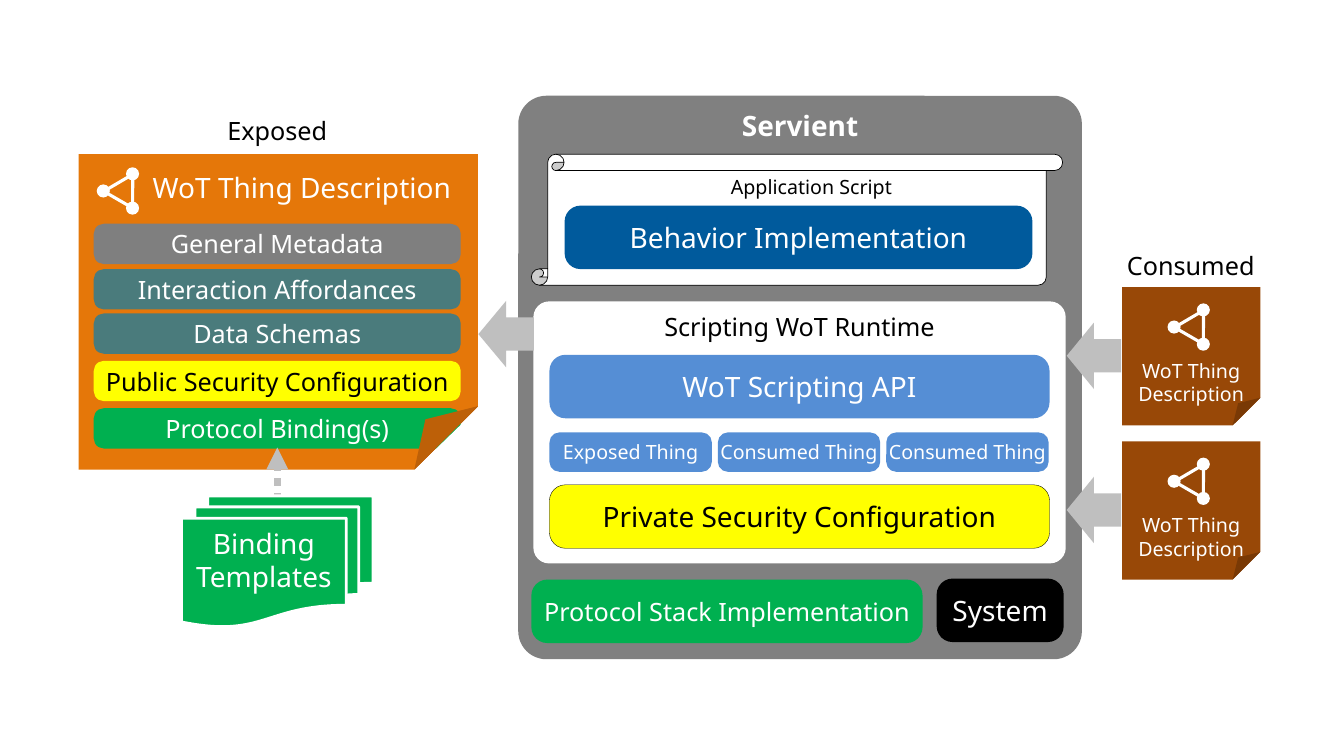
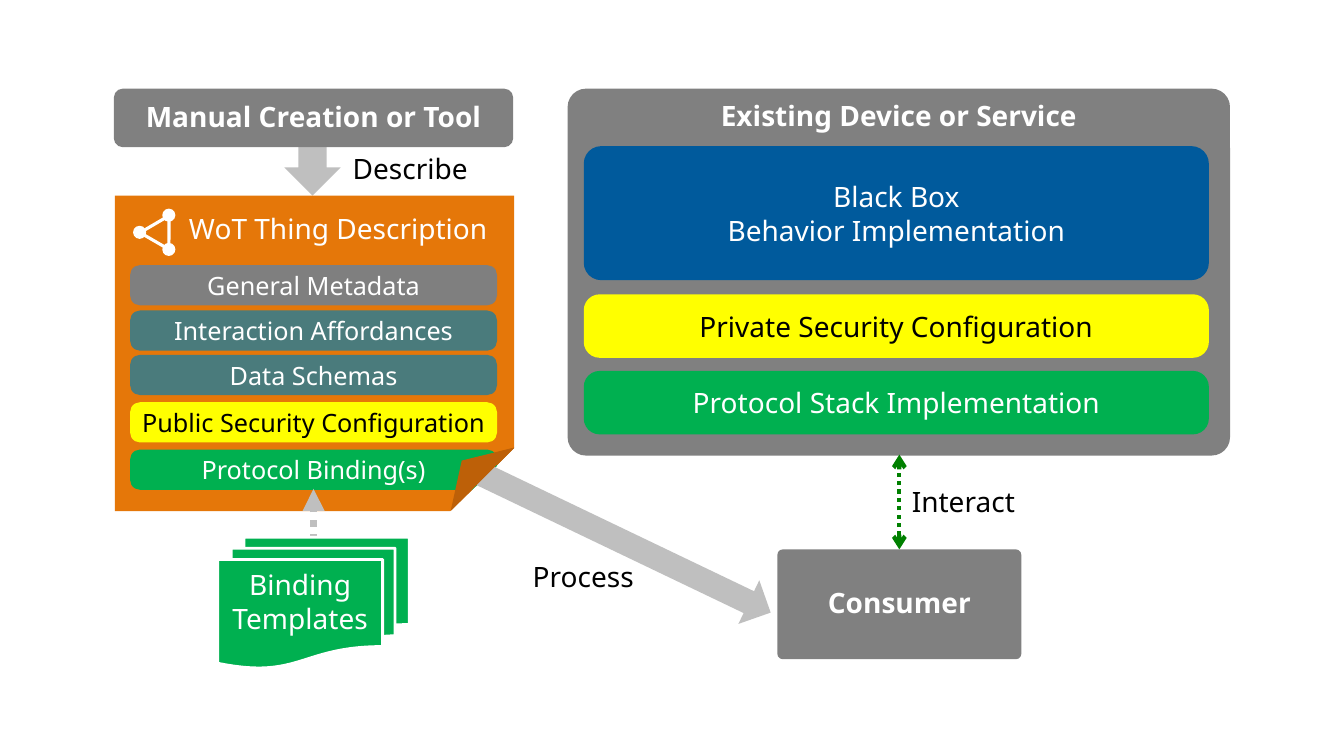
"""Build two Web of Things architecture diagrams: a servient and an existing device."""
from dataclasses import dataclass
from typing import Optional

from lxml import etree
from pptx import Presentation
from pptx import util as u
from pptx.dml.color import RGBColor
from pptx.enum import dml, shapes, text
from pptx.oxml.ns import qn
from pptx.slide import Slide

GEOMETRY = shapes.MSO_SHAPE
TOP, MIDDLE = text.MSO_ANCHOR.TOP, text.MSO_ANCHOR.MIDDLE
LEFT, CENTER = text.PP_ALIGN.LEFT, text.PP_ALIGN.CENTER


@dataclass(frozen=True)
class Theme:
    font: str = "Noto Sans"
    title: int = 20
    body: int = 18
    small: int = 14
    white: str = "FFFFFF"
    black: str = "000000"
    gray: str = "808080"
    metadata: str = "7F7F7F"
    arrow: str = "BFBFBF"
    blue: str = "005A9C"
    api: str = "558ED5"
    green: str = "00B050"
    interact: str = "008000"
    yellow: str = "FFFF00"
    teal: str = "4A7B7C"
    orange: str = "E57709"
    fold: str = "BD6008"
    brown: str = "984807"


THEME = Theme()
HEADING_INSETS = (0.1, 0.04, 0.1, 0.08)


@dataclass(frozen=True)
class Box:
    x: float
    y: float
    w: float
    h: float
    fill: Optional[str] = None
    words: str = ""
    size: int = THEME.title
    ink: str = THEME.white
    bold: bool = False
    anchor: text.MSO_ANCHOR = MIDDLE
    insets: tuple[float, ...] = (0.1, 0.05, 0.1, 0.05)
    geometry: shapes.MSO_SHAPE = GEOMETRY.ROUNDED_RECTANGLE
    corner: Optional[float] = 0.25
    border: Optional[str] = None
    border_width: float = 1
    rotation: float = 0


@dataclass(frozen=True)
class Label:
    x: float
    y: float
    w: float
    h: float
    words: str
    size: int
    align: text.PP_ALIGN = CENTER


@dataclass(frozen=True)
class Row:
    top: float
    words: str
    fill: str
    ink: str = THEME.white


CARD_ROWS = (
    Row(0.69, "General Metadata", THEME.metadata),
    Row(1.14, "Interaction Affordances", THEME.teal),
    Row(1.58, "Data Schemas", THEME.teal),
    Row(2.05, "Public Security Configuration", THEME.yellow, THEME.black),
    Row(2.52, "Protocol Binding(s)", THEME.green),
)


def color(code: str) -> RGBColor:
    return RGBColor.from_string(code)


def write(frame, words: str, size: int, ink: str, bold: bool, align: text.PP_ALIGN) -> None:
    frame.text = words
    frame.word_wrap = False
    for paragraph in frame.paragraphs:
        paragraph.alignment = align
        for run in paragraph.runs:
            run.font.name = THEME.font
            run.font.size = u.Pt(size)
            run.font.bold = bold
            run.font.color.rgb = color(ink)


def set_corner(shape, corner: float) -> None:
    if len(shape.adjustments):
        shape.adjustments[0] = corner
        return
    geometry = shape._element.spPr.find(qn("a:prstGeom"))
    guides = geometry.find(qn("a:avLst"))
    if guides is None:
        guides = etree.SubElement(geometry, qn("a:avLst"))
    guide = etree.SubElement(guides, qn("a:gd"))
    guide.set("name", "adj")
    guide.set("fmla", f"val {round(corner * 100000)}")


def draw_box(slide: Slide, box: Box) -> None:
    shape = slide.shapes.add_shape(
        box.geometry, u.Inches(box.x), u.Inches(box.y), u.Inches(box.w), u.Inches(box.h))
    shape.shadow.inherit = False
    shape.rotation = box.rotation
    if box.corner is not None:
        set_corner(shape, box.corner)
    if box.fill:
        shape.fill.solid()
        shape.fill.fore_color.rgb = color(box.fill)
    else:
        shape.fill.background()
    if box.border:
        shape.line.color.rgb = color(box.border)
        shape.line.width = u.Pt(box.border_width)
    else:
        shape.line.fill.background()
    if box.words:
        frame = shape.text_frame
        write(frame, box.words, box.size, box.ink, box.bold, CENTER)
        frame.vertical_anchor = box.anchor
        (frame.margin_left, frame.margin_top,
         frame.margin_right, frame.margin_bottom) = map(u.Inches, box.insets)


def draw_label(slide: Slide, label: Label) -> None:
    caption = slide.shapes.add_textbox(
        u.Inches(label.x), u.Inches(label.y), u.Inches(label.w), u.Inches(label.h))
    write(caption.text_frame, label.words, label.size, THEME.black, False, label.align)
    caption.text_frame.auto_size = text.MSO_AUTO_SIZE.SHAPE_TO_FIT_TEXT


def draw_heading(slide: Slide, x: float, y: float, w: float, h: float, words: str,
                 anchor: text.MSO_ANCHOR, corner: float = 0.05) -> None:
    draw_box(slide, Box(x, y, w, h, THEME.gray, words, bold=True, anchor=anchor,
                        insets=HEADING_INSETS, corner=corner))


def draw_arrow(slide: Slide, x: float, y: float, w: float, h: float, rotation: float) -> None:
    draw_box(slide, Box(x, y, w, h, THEME.arrow, geometry=GEOMETRY.DOWN_ARROW,
                        corner=None, rotation=rotation))


def draw_dotted_arrow(slide: Slide, x: float, bottom: float, top: float, ink: str,
                      width: float, ends: dict[str, str]) -> None:
    link = slide.shapes.add_connector(
        shapes.MSO_CONNECTOR.STRAIGHT, u.Inches(x), u.Inches(bottom), u.Inches(x), u.Inches(top))
    link.line.color.rgb = color(ink)
    link.line.width = u.Pt(width)
    link.line.dash_style = dml.MSO_LINE.ROUND_DOT
    properties = link._element.spPr
    outline = properties.find(qn("a:ln"))
    for end, kind in ends.items():
        etree.SubElement(outline, qn(end)).set("type", kind)
    etree.SubElement(properties, qn("a:effectLst"))


def draw_triangle(slide: Slide, points: list[tuple[float, float]], fill: str) -> None:
    corners = [(u.Inches(x), u.Inches(y)) for x, y in points]
    builder = slide.shapes.build_freeform(*corners[0], scale=1.0)
    builder.add_line_segments(corners[1:], close=True)
    triangle = builder.convert_to_shape()
    triangle.shadow.inherit = False
    triangle.fill.solid()
    triangle.fill.fore_color.rgb = color(fill)
    triangle.line.fill.background()


def draw_share_icon(slide: Slide, x: float, y: float) -> None:
    draw_box(slide, Box(x, y, 0.33, 0.29, geometry=GEOMETRY.ISOSCELES_TRIANGLE, corner=None,
                        border=THEME.white, border_width=2.25, rotation=30))
    for dx, dy in ((0.17, -0.05), (-0.12, 0.12), (0.17, 0.29)):
        draw_box(slide, Box(x + dx, y + dy, 0.13, 0.13, THEME.white,
                            geometry=GEOMETRY.OVAL, corner=None))


def draw_thing_description(slide: Slide, x: float, y: float) -> None:
    draw_box(slide, Box(x, y, 3.96, 3.13, THEME.orange, "WoT Thing Description", anchor=TOP,
                        insets=(0.47, 0.16, 0, 0), geometry=GEOMETRY.FOLDED_CORNER, corner=0.2))
    draw_share_icon(slide, x + 0.3, y + 0.18)
    for row in CARD_ROWS:
        draw_box(slide, Box(x + 0.15, y + row.top, 3.64, 0.4, row.fill, row.words,
                            THEME.body, row.ink))
    draw_triangle(slide, [(x + 3.32, y + 3.14), (x + 3.97, y + 3.14), (x + 3.97, y + 2.51)],
                  THEME.white)


def draw_fold(slide: Slide, x: float, y: float) -> None:
    draw_triangle(slide, [(x + 3.33, y + 3.13), (x + 3.44, y + 2.63), (x + 3.96, y + 2.5)],
                  THEME.fold)


def draw_binding_templates(slide: Slide, x: float, y: float) -> None:
    draw_dotted_arrow(slide, x + 1.97, y + 3.87, y + 2.91, THEME.arrow, 5.25,
                      {"a:tailEnd": "triangle"})
    draw_box(slide, Box(x + 1.02, y + 3.39, 1.9, 1.3, THEME.green, "Binding\nTemplates",
                        anchor=TOP, insets=(0, 0.08, 0, 0),
                        geometry=GEOMETRY.FLOWCHART_MULTIDOCUMENT, corner=None,
                        border=THEME.white, border_width=2))


def build_servient(slide: Slide) -> None:
    draw_heading(slide, 5.14, 0.95, 5.59, 5.59, "Servient", TOP)
    draw_box(slide, Box(5.29, 2.99, 5.28, 2.6, THEME.white, "Scripting WoT Runtime", THEME.body,
                        THEME.black, anchor=TOP, corner=0.06))
    for column, thing in enumerate(("Exposed Thing", "Consumed Thing", "Consumed Thing")):
        draw_box(slide, Box(5.45 + 1.67 * column, 4.29, 1.61, 0.39, THEME.api, thing, THEME.small))
    draw_box(slide, Box(5.27, 1.53, 5.27, 1.3, THEME.white, geometry=GEOMETRY.VERTICAL_SCROLL,
                        corner=None, border=THEME.black, border_width=0.5))
    for layer in (
        Box(5.6, 2.04, 4.64, 0.63, THEME.blue, "Behavior Implementation"),
        Box(5.45, 3.52, 4.96, 0.63, THEME.api, "WoT Scripting API"),
        Box(5.45, 4.81, 4.96, 0.63, THEME.yellow, "Private Security Configuration",
            ink=THEME.black, border=THEME.black, border_width=0.25),
        Box(5.27, 5.75, 3.88, 0.63, THEME.green, "Protocol Stack Implementation", THEME.body),
        Box(9.29, 5.74, 1.26, 0.63, THEME.black, "System"),
    ):
        draw_box(slide, layer)
    for label in (
        Label(7.15, 1.69, 1.81, 0.34, "Application Script", THEME.small, LEFT),
        Label(2.15, 1.09, 1.2, 0.4, "Exposed", THEME.body),
        Label(11.07, 2.43, 1.48, 0.4, "Consumed", THEME.body),
    ):
        draw_label(slide, label)
    draw_arrow(slide, 4.69, 3.04, 0.66, 0.55, 90)
    for top in (2.85, 4.38):
        draw_arrow(slide, 10.52, top + 0.41, 0.66, 0.54, 90)
        draw_box(slide, Box(11.13, top, 1.37, 1.37, THEME.brown, "WoT Thing\nDescription",
                            THEME.small, anchor=TOP, insets=(0, 0.71, 0, 0),
                            geometry=GEOMETRY.FOLDED_CORNER, corner=0.2))
        draw_share_icon(slide, 11.7, top + 0.21)
    card = (0.78, 1.53)
    draw_thing_description(slide, *card)
    draw_fold(slide, *card)
    draw_binding_templates(slide, *card)


def build_existing_device(slide: Slide) -> None:
    draw_heading(slide, 5.63, 0.88, 6.57, 3.64, "Existing Device or Service", TOP)
    for layer in (
        Box(5.79, 1.45, 6.2, 1.33, THEME.blue, "Black Box\nBehavior Implementation", corner=0.13),
        Box(5.79, 2.92, 6.2, 0.63, THEME.yellow, "Private Security Configuration",
            ink=THEME.black),
        Box(5.79, 3.68, 6.2, 0.63, THEME.green, "Protocol Stack Implementation"),
    ):
        draw_box(slide, layer)
    draw_arrow(slide, 2.82, 1.24, 0.56, 0.7, 0)
    draw_heading(slide, 1.13, 0.88, 3.96, 0.58, "Manual Creation or Tool", MIDDLE, 0.15)
    draw_heading(slide, 7.71, 5.45, 2.42, 1.09, "Consumer", MIDDLE)
    draw_dotted_arrow(slide, 8.92, 5.45, 4.51, THEME.interact, 3,
                      {"a:headEnd": "arrow", "a:tailEnd": "arrow"})
    for label in (
        Label(8.93, 4.76, 1.25, 0.44, "Interact", THEME.title),
        Label(5.17, 5.5, 1.23, 0.44, "Process", THEME.title),
        Label(3.4, 1.45, 1.36, 0.44, "Describe", THEME.title, LEFT),
    ):
        draw_label(slide, label)
    card = (1.14, 1.94)
    draw_thing_description(slide, *card)
    draw_binding_templates(slide, *card)
    draw_arrow(slide, 5.97, 3.8, 0.48, 3.18, 295.6)
    draw_fold(slide, *card)


def main() -> None:
    deck = Presentation()
    deck.slide_width, deck.slide_height = u.Inches(13.33), u.Inches(7.5)
    blank = deck.slide_layouts[6]
    for build in (build_servient, build_existing_device):
        build(deck.slides.add_slide(blank))
    deck.save("out.pptx")


if __name__ == "__main__":
    main()
